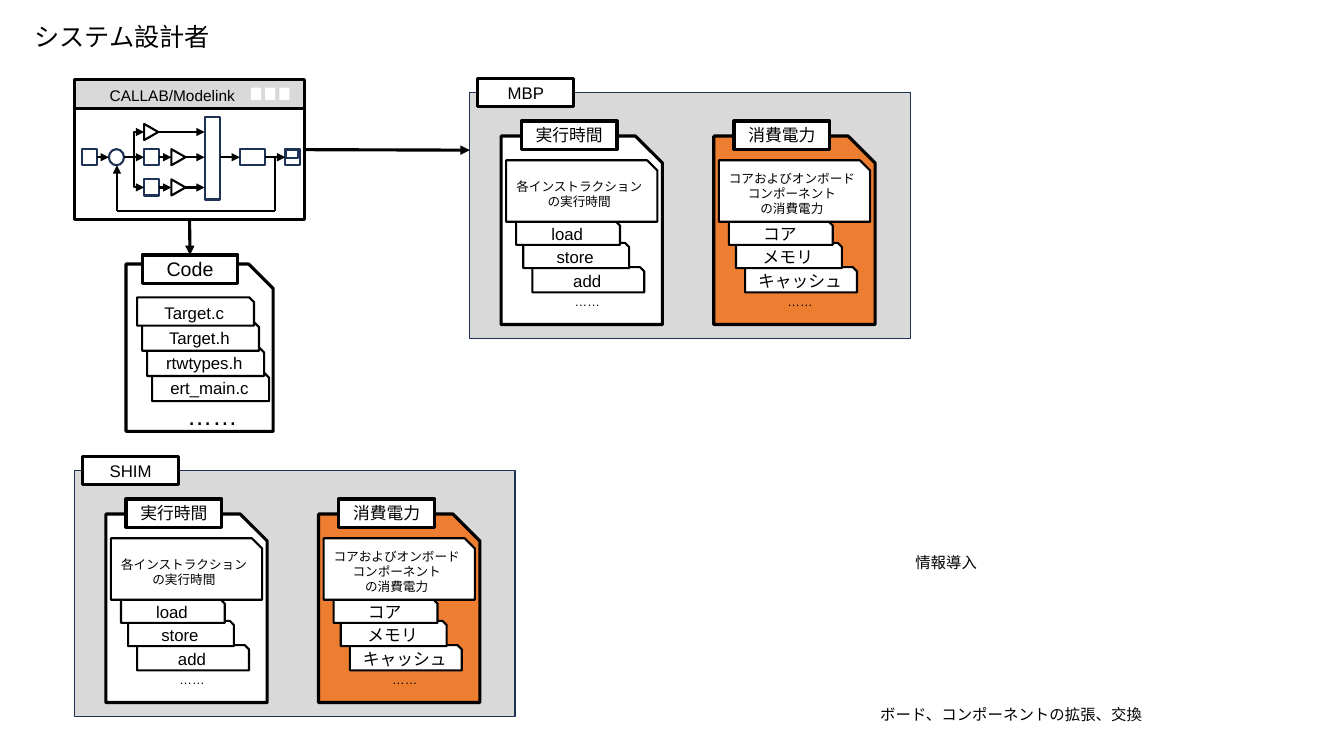
import dataclasses

import lxml.etree
import pptx
import pptx.dml.color
import pptx.enum.shapes
import pptx.enum.text
import pptx.oxml.ns
import pptx.util

Inches = pptx.util.Inches
Preset = pptx.enum.shapes.MSO_SHAPE
Connector = pptx.enum.shapes.MSO_CONNECTOR
qn = pptx.oxml.ns.qn
TOP, LEFT, BOTTOM, RIGHT = range(4)


@dataclasses.dataclass(frozen=True)
class Theme:
    black: str = "000000"
    white: str = "FFFFFF"
    gray: str = "D9D9D9"
    orange: str = "ED7D31"
    navy: str = "1E3256"
    latin_font: str = "Arial"
    asian_font: str = "Noto Sans CJK SC"
    title: float = 18
    code: float = 14
    label: float = 12
    note: float = 11
    small: float = 9
    heavy: float = 2.25
    medium: float = 1.5
    thin: float = 1


theme = Theme()
presentation = pptx.Presentation()
presentation.slide_width, presentation.slide_height = Inches(13.33), Inches(7.5)
slide = presentation.slides.add_slide(presentation.slide_layouts[5])


def add_box(at, preset=Preset.RECTANGLE, fill=None, line=None, width=theme.medium,
            text="", size=theme.label):
    """Add a preset shape, or a text box when preset is None, with centred text."""
    place = [Inches(length) for length in at]
    if preset is None:
        shape = slide.shapes.add_textbox(*place)
    else:
        shape = slide.shapes.add_shape(preset, *place)
        shape.shadow.inherit = False
        if fill:
            shape.fill.solid()
            shape.fill.fore_color.rgb = pptx.dml.color.RGBColor.from_string(fill)
        else:
            shape.fill.background()
        if line:
            shape.line.color.rgb = pptx.dml.color.RGBColor.from_string(line)
            shape.line.width = pptx.util.Pt(width)
        else:
            shape.line.fill.background()
    if text:
        frame = shape.text_frame
        frame.text = text
        frame.word_wrap = True
        frame.vertical_anchor = pptx.enum.text.MSO_ANCHOR.MIDDLE
        frame.margin_left = frame.margin_right = Inches(0.05)
        frame.margin_top = frame.margin_bottom = 0
        for paragraph in frame.paragraphs:
            paragraph.alignment = pptx.enum.text.PP_ALIGN.CENTER
            for run in paragraph.runs:
                run.font.name = theme.latin_font
                run.font.size = pptx.util.Pt(size)
                run.font.color.rgb = pptx.dml.color.RGBColor.from_string(theme.black)
    return shape


def add_line(start, end, width=theme.medium, arrow=True, kind=Connector.STRAIGHT,
             begin_at=None, end_at=None):
    """Add a black connector; begin_at and end_at are (shape, side) pairs to join."""
    connector = slide.shapes.add_connector(kind, *map(Inches, (*start, *end)))
    connector.line.color.rgb = pptx.dml.color.RGBColor.from_string(theme.black)
    connector.line.width = pptx.util.Pt(width)
    if begin_at:
        connector.begin_connect(*begin_at)
    if end_at:
        connector.end_connect(*end_at)
    properties = connector.element.spPr
    if arrow:
        lxml.etree.SubElement(properties.find(qn("a:ln")), qn("a:tailEnd"), type="triangle")
    lxml.etree.SubElement(properties, qn("a:effectLst"))


# Title and free notes
title = slide.shapes.title
title.left, title.top, title.width, title.height = map(Inches, (0.24, 0.16, 1.97, 0.4))
title.text_frame.text = "システム設計者"
title.text_frame.word_wrap = False
title.text_frame.vertical_anchor = pptx.enum.text.MSO_ANCHOR.MIDDLE
title_paragraph = title.text_frame.paragraphs[0]
title_paragraph.alignment = pptx.enum.text.PP_ALIGN.LEFT
title_font = title_paragraph.runs[0].font
title_font.name = theme.asian_font
title_font.size = pptx.util.Pt(theme.title)
title_font.color.rgb = pptx.dml.color.RGBColor.from_string(theme.black)

add_box((8.42, 6.94, 3.22, 0.29), None, text="ボード、コンポーネントの拡張、交換", size=theme.note)
add_box((8.56, 5.43, 1.65, 0.29), None, text="情報導入", size=theme.note)

# Panels, each with an execution time card and a power card
cards = [
    (0.31, theme.white, "実行時間", "各インストラクションの実行時間", ["load", "store", "add"]),
    (2.42, theme.orange, "消費電力", "コアおよびオンボードコンポーネント\nの消費電力",
     ["コア", "メモリ", "キャッシュ"]),
]
item_places = [(0.15, 0.85, 1.03, 0.23), (0.22, 1.06, 1.05, 0.25), (0.31, 1.3, 1.11, 0.25)]
for panel_name, panel_left, panel_top in [("SHIM", 0.74, 4.67), ("MBP", 4.66, 0.92)]:
    add_box((panel_left, panel_top, 4.37, 2.44), fill=theme.gray, line=theme.navy, width=theme.thin)
    for offset, color, heading, summary, items in cards:
        left, top = panel_left + offset, panel_top + 0.43
        add_box((left, top, 1.6, 1.87), Preset.SNIP_1_RECTANGLE, color, theme.black, theme.heavy)
        add_box((left + 0.2, top - 0.15, 0.95, 0.28), fill=theme.white, line=theme.black,
                width=theme.heavy, text=heading)
        for item, (dx, dy, width, height) in reversed(list(zip(items, item_places))):
            add_box((left + dx, top + dy, width, height), Preset.SNIP_1_RECTANGLE,
                    theme.white, theme.black, text=item)
        add_box((left + 0.05, top + 0.24, 1.5, 0.61), Preset.SNIP_1_RECTANGLE,
                theme.white, theme.black, text=summary, size=theme.small)
        add_box((left + 0.63, top + 1.52, 0.45, 0.25), None, text="……", size=theme.small)
    add_box((panel_left + 0.08, panel_top - 0.14, 0.95, 0.28), fill=theme.white,
            line=theme.black, width=theme.heavy, text=panel_name)

# Generated code
add_box((1.25, 2.62, 1.46, 1.66), Preset.SNIP_1_RECTANGLE, theme.white, theme.black, theme.heavy)
code_label = add_box((1.41, 2.53, 0.95, 0.28), fill=theme.white, line=theme.black,
                     width=theme.heavy, text="Code", size=theme.code)
add_box((1.75, 3.92, 0.71, 0.4), None, text="……", size=theme.title)
files = ["Target.c", "Target.h", "rtwtypes.h", "ert_main.c"]
for index, file_name in reversed(list(enumerate(files))):
    add_box((1.36 + 0.05 * index, 2.95 + 0.25 * index, 1.16, 0.28), Preset.SNIP_1_RECTANGLE,
            theme.white, theme.black, text=file_name)

# Modelling tool window
add_box((0.74, 0.79, 2.28, 0.29), fill=theme.gray, line=theme.navy, width=theme.thin)
add_line((0.74, 1.08), (3.02, 1.08), theme.heavy, arrow=False)
for button in range(3):
    add_box((2.49 + 0.14 * button, 0.87, 0.1, 0.12), fill=theme.white)
add_box((0.98, 0.8, 1.46, 0.29), None, text="CALLAB/Modelink", size=theme.note)

# Block diagram: three rows between the sum and the bus
top_row, middle_row, bottom_row = 1.31, 1.56, 1.86
add_box((1.08, 1.48, 0.15, 0.16), Preset.OVAL, line=theme.navy)
source, middle_gain, bottom_gain, bus, plant, sink = [
    add_box((left, row - height / 2, width, height), line=theme.navy)
    for left, row, width, height in [
        (0.81, middle_row, 0.15, 0.16), (1.43, middle_row, 0.15, 0.16),
        (1.43, bottom_row, 0.15, 0.16), (2.03, 1.57, 0.15, 0.82),
        (2.38, middle_row, 0.25, 0.16), (2.83, middle_row, 0.15, 0.16)]
]
add_box((2.84, 1.49, 0.12, 0.08), line=theme.navy)
for left, row in [(1.42, top_row), (1.69, middle_row), (1.69, bottom_row)]:
    triangle = add_box((left, row - 0.07, 0.16, 0.14), Preset.ISOSCELES_TRIANGLE, line=theme.black)
    triangle.rotation = 90
for row in (top_row, bottom_row):
    add_line((1.23, middle_row), (1.43, row), kind=Connector.ELBOW)
for left, right, row, begin_at, end_at in [
    (0.96, 1.08, middle_row, (source, RIGHT), None),
    (1.23, 1.43, middle_row, None, (middle_gain, LEFT)),
    (1.58, 1.7, middle_row, (middle_gain, RIGHT), None),
    (1.58, 1.7, bottom_row, (bottom_gain, RIGHT), None),
    (1.57, 2.03, top_row, None, None),
    (1.84, 2.03, middle_row, None, None),
    (1.84, 2.03, bottom_row, None, None),
    (2.18, 2.38, middle_row, None, (plant, LEFT)),
    (2.63, 2.83, middle_row, (plant, RIGHT), (sink, LEFT)),
]:
    add_line((left, row), (right, row), begin_at=begin_at, end_at=end_at)
add_line((2.73, middle_row), (2.73, 2.09), arrow=False)
add_line((1.16, 2.09), (2.73, 2.09), arrow=False)
add_line((1.16, 2.09), (1.16, 1.64))
window = add_box((0.74, 0.79, 2.28, 1.39), line=theme.black, width=theme.heavy)

# Flow out of the window
add_line((3.02, 1.49), (4.66, 1.49), theme.heavy, begin_at=(window, RIGHT))
add_line((1.88, 2.18), (1.88, 2.53), theme.heavy, begin_at=(window, BOTTOM),
         end_at=(code_label, TOP))

presentation.save("out.pptx")
